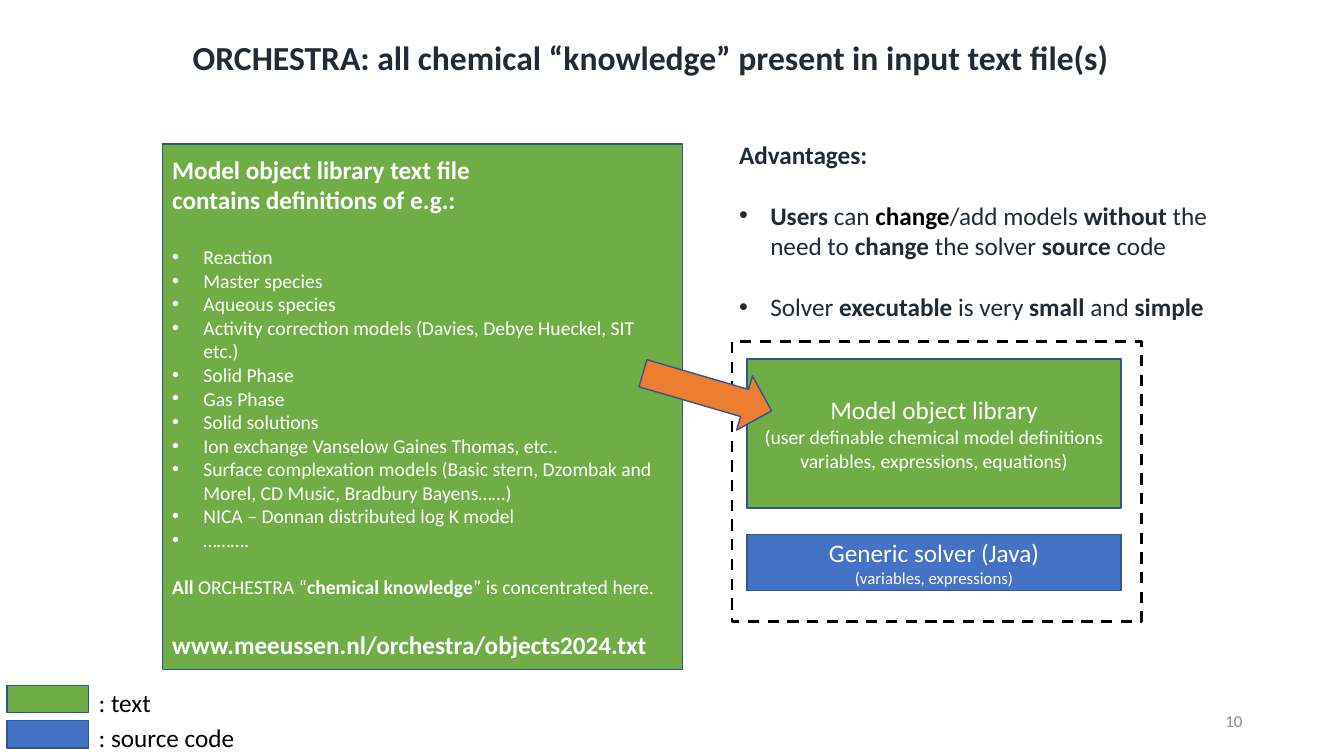
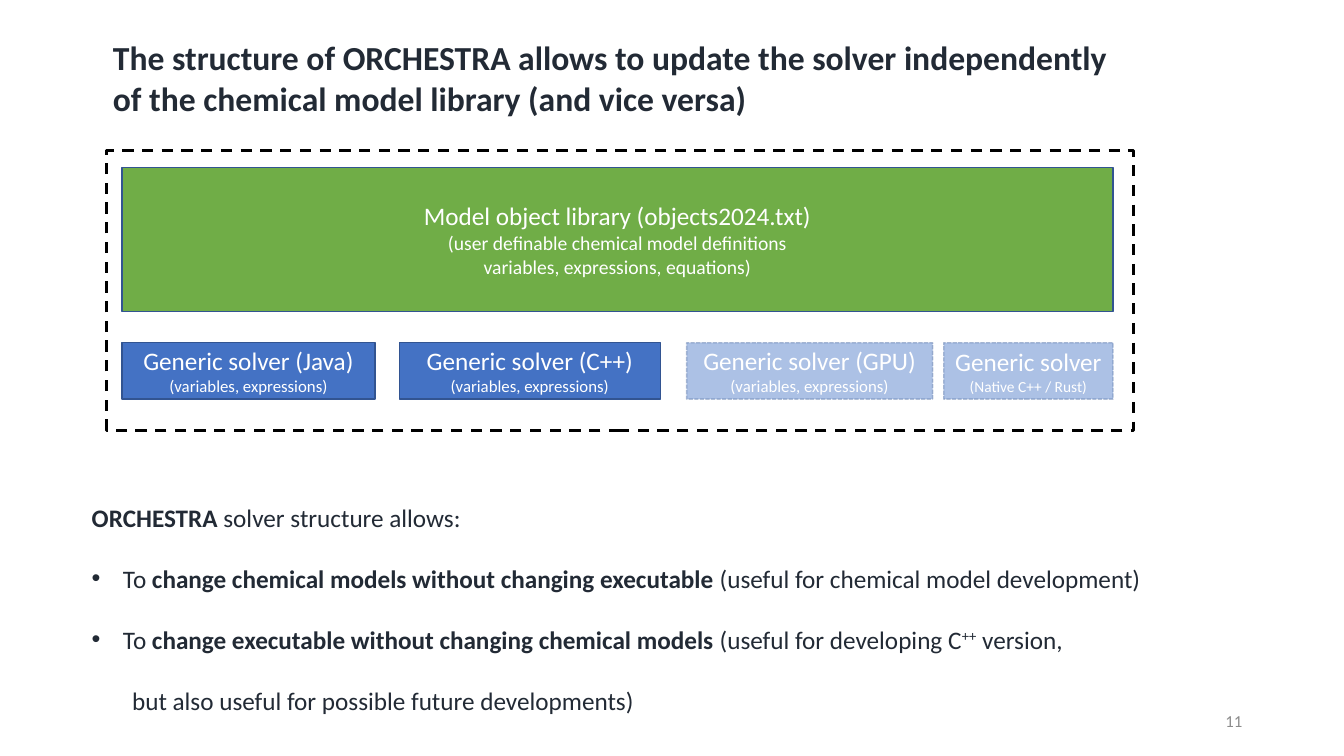
from dataclasses import dataclass

from lxml.etree import SubElement
from pptx import Presentation
from pptx.dml.color import RGBColor
from pptx.enum.dml import MSO_LINE
from pptx.enum.shapes import MSO_SHAPE
from pptx.enum.text import MSO_ANCHOR, MSO_AUTO_SIZE, PP_ALIGN
from pptx.oxml.ns import qn
from pptx.util import Emu, Pt

EMU_PER_PX = 9144
FONT = "Calibri"
BLANK_LINE = 22
LIST_INDENT = 31
COLOURS = {
    "ink": "222A35",
    "black": "000000",
    "white": "FFFFFF",
    "muted": "8C8C8C",
    "text_file": "70AD47",
    "source_code": "4472C4",
    "arrow": "ED7D31",
    "outline": "325491",
}


@dataclass
class Box:
    left: int
    top: int
    width: int
    height: int

    def inner(self, left, top, width, height):
        return Box(self.left + left, self.top + top, width, height)

    def lengths(self):
        return [px(side) for side in (self.left, self.top, self.width, self.height)]


@dataclass
class Row:
    spans: object
    size: int = 18
    bold: bool = False
    before: int = 0
    bullet: bool = False
    indent: int = 0


@dataclass
class Solver:
    left: int
    width: int
    name: str
    note: str = "(variables, expressions)"
    note_size: int = 12
    planned: bool = False


def px(length):
    return Emu(length * EMU_PER_PX)


def colour(name):
    return RGBColor.from_string(COLOURS[name])


def set_indent(para, row):
    properties = para._p.get_or_add_pPr()
    hanging = LIST_INDENT if row.bullet else 0
    properties.set("marL", str(px(row.indent + hanging)))
    properties.set("indent", str(px(-hanging)))
    if row.bullet:
        SubElement(properties, qn("a:buFont")).set("typeface", "Arial")
        SubElement(properties, qn("a:buChar")).set("char", "•")
    else:
        SubElement(properties, qn("a:buNone"))


def add_spans(para, spans):
    for item in [spans] if isinstance(spans, str) else spans:
        text, mark = (item, "") if isinstance(item, str) else item
        span = para.add_run()
        span.text = text
        if mark in ("bold", "black"):
            span.font.bold = True
        if mark == "black":
            span.font.color.rgb = colour("black")
        if mark == "raised":
            span._r.get_or_add_rPr().set("baseline", "30000")


def write(frame, rows, ink, align=PP_ALIGN.LEFT, anchor=MSO_ANCHOR.TOP):
    frame.word_wrap = True
    frame.auto_size = MSO_AUTO_SIZE.NONE
    frame.vertical_anchor = anchor
    for number, row in enumerate(rows):
        para = frame.add_paragraph() if number else frame.paragraphs[0]
        set_indent(para, row)
        para.alignment = align
        para.space_before = Pt(row.before)
        para.font.name = FONT
        para.font.size = Pt(row.size)
        para.font.bold = row.bold
        para.font.color.rgb = colour(ink)
        add_spans(para, row.spans)


def add_panel(page, box, fill, kind=MSO_SHAPE.RECTANGLE):
    panel = page.shapes.add_shape(kind, *box.lengths())
    panel.shadow.inherit = False
    panel.fill.solid()
    panel.fill.fore_color.rgb = colour(fill)
    panel.line.color.rgb = colour("outline")
    panel.line.width = Pt(1)
    return panel


def add_label(page, box, row, ink, **layout):
    label = page.shapes.add_textbox(*box.lengths())
    write(label.text_frame, [row], ink, **layout)


def fill_placeholder(placeholder, box, rows):
    placeholder.left, placeholder.top, placeholder.width, placeholder.height = box.lengths()
    write(placeholder.text_frame, rows, "ink")


def add_page(deck, number, title, title_box, body_rows, body_box):
    page = deck.slides.add_slide(deck.slide_layouts.get_by_name("Title and Content"))
    fill_placeholder(page.shapes.title, title_box, [Row(title, 24, True)])
    fill_placeholder(page.placeholders[1], body_box, body_rows)
    add_label(page, Box(942, 695, 300, 40), Row(str(number), 12), "muted",
              align=PP_ALIGN.RIGHT, anchor=MSO_ANCHOR.MIDDLE)
    return page


def fade(panel):
    panel.line.dash_style = MSO_LINE.SQUARE_DOT
    fill_colour, line_colour = panel._element.spPr.iter(qn("a:srgbClr"))
    for element, percent in ((fill_colour, 44), (line_colour, 34)):
        SubElement(element, qn("a:alpha")).set("val", str(percent * 1000))


def add_architecture(page, box, library_name, library_height, solvers):
    frame = page.shapes.add_shape(MSO_SHAPE.RECTANGLE, *box.lengths())
    frame.shadow.inherit = False
    frame.fill.background()
    frame.line.color.rgb = colour("black")
    frame.line.width = Pt(2)
    frame.line.dash_style = MSO_LINE.DASH

    centred = {"align": PP_ALIGN.CENTER, "anchor": MSO_ANCHOR.MIDDLE}
    library = add_panel(page, box.inner(15, 17, box.width - 35, library_height), "text_file")
    write(library.text_frame, [
        Row(library_name),
        Row("(user definable chemical model definitions", 14),
        Row("variables, expressions, equations)", 14),
    ], "white", **centred)
    for solver in solvers:
        panel = add_panel(page, box.inner(15 + solver.left, 191, solver.width, 56), "source_code")
        write(panel.text_frame, [Row(solver.name), Row(solver.note, solver.note_size)],
              "white", **centred)
        if solver.planned:
            fade(panel)


def add_legend(page, box):
    entries = (("text_file", ": text"), ("source_code", ": source code"))
    for number, (fill, meaning) in enumerate(entries):
        top = number * 35
        add_panel(page, box.inner(0, top + 3, 81, 27), fill)
        add_label(page, box.inner(81, top, box.width - 81, 40), Row(meaning), "black")


def add_library_contents(page, box):
    definitions = (
        "Reaction",
        "Master species",
        "Aqueous species",
        "Activity correction models (Davies, Debye Hueckel, SIT etc.)",
        "Solid Phase",
        "Gas Phase",
        "Solid solutions",
        "Ion exchange Vanselow Gaines Thomas, etc..",
        "Surface complexation models (Basic stern, Dzombak and Morel, CD Music, Bradbury Bayens……)",
        "NICA – Donnan distributed log K model",
        "……….",
    )
    rows = [
        Row("Model object library text file", bold=True),
        Row("contains definitions of e.g.:", bold=True),
    ]
    rows += [Row(name, 14, before=0 if number else BLANK_LINE, bullet=True)
             for number, name in enumerate(definitions)]
    rows += [
        Row([("All", "bold"), " ORCHESTRA “", ("chemical knowledge", "bold"),
             "” is concentrated here."], 14, before=17),
        Row("www.meeussen.nl/orchestra/objects2024.txt", bold=True, before=BLANK_LINE),
    ]
    panel = add_panel(page, box, "text_file")
    write(panel.text_frame, rows, "white", anchor=MSO_ANCHOR.MIDDLE)


def add_knowledge_page(deck):
    advantages = [
        Row("Advantages:", bold=True),
        Row([("Users ", "bold"), "can ", ("change", "black"), "/add models ",
             ("without ", "bold"), "the need to ", ("change ", "bold"), "the solver ",
             ("source", "bold"), " code"], before=BLANK_LINE, bullet=True),
        Row(["Solver ", ("executable", "bold"), " is very ", ("small ", "bold"), "and ",
             ("simple", "bold")], before=BLANK_LINE, bullet=True),
    ]
    page = add_page(deck, 10, "ORCHESTRA: all chemical “knowledge” present in input text file(s)",
                    Box(181, 32, 968, 50), advantages, Box(723, 133, 516, 192))
    add_architecture(page, Box(726, 339, 406, 278), "Model object library", 148,
                     [Solver(0, 371, "Generic solver (Java)")])
    add_legend(page, Box(7, 677, 251, 75))
    add_library_contents(page, Box(161, 143, 516, 521))
    arrow = add_panel(page, Box(635, 361, 133, 56), "arrow", MSO_SHAPE.RIGHT_ARROW)
    arrow.rotation = 16.3


def add_structure_page(deck):
    benefits = [
        Row([("ORCHESTRA", "bold"), " solver structure allows:"]),
        Row(["To ", ("change chemical models without changing executable", "bold"),
             " (useful for chemical model development)"], before=BLANK_LINE, bullet=True),
        Row(["To ", ("change executable without changing chemical models", "bold"),
             " (useful for developing C", ("++", "raised"), " version,"],
            before=BLANK_LINE, bullet=True),
        Row("but also useful for possible future developments)", before=BLANK_LINE, indent=40),
    ]
    page = add_page(deck, 11, "The structure of ORCHESTRA allows to update the solver independently "
                    "of the chemical model library (and vice versa)",
                    Box(102, 32, 1027, 91), benefits, Box(81, 493, 1089, 222))
    add_architecture(page, Box(106, 149, 1018, 278), "Model object library (objects2024.txt)", 143, [
        Solver(0, 251, "Generic solver (Java)"),
        Solver(275, 259, "Generic solver (C++)"),
        Solver(560, 244, "Generic solver (GPU)", planned=True),
        Solver(815, 168, "Generic solver", "(Native C++ / Rust)", 11, True),
    ])


def main():
    deck = Presentation()
    deck.slide_width, deck.slide_height = px(1333), px(750)
    add_knowledge_page(deck)
    add_structure_page(deck)
    deck.save("out.pptx")


if __name__ == "__main__":
    main()
